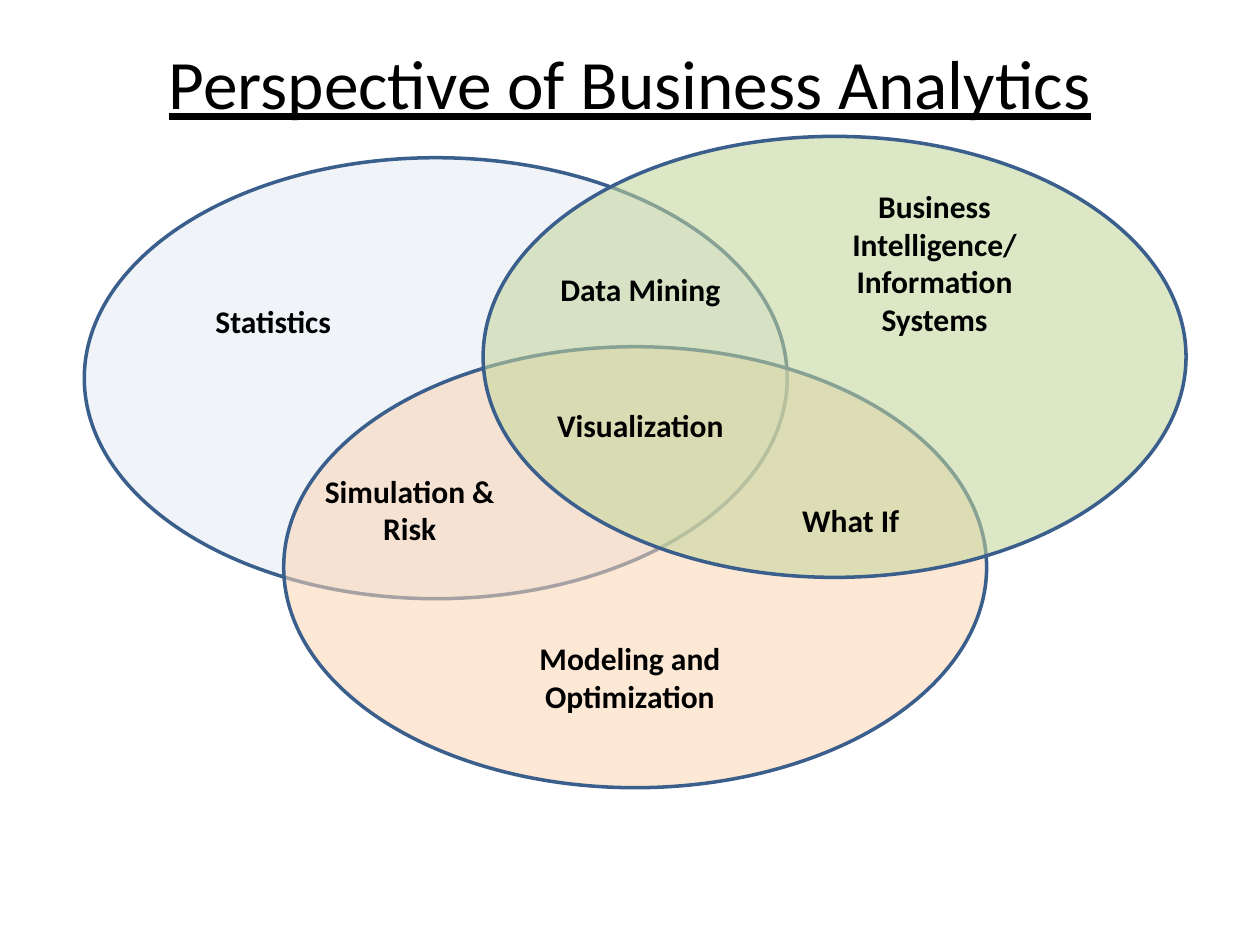
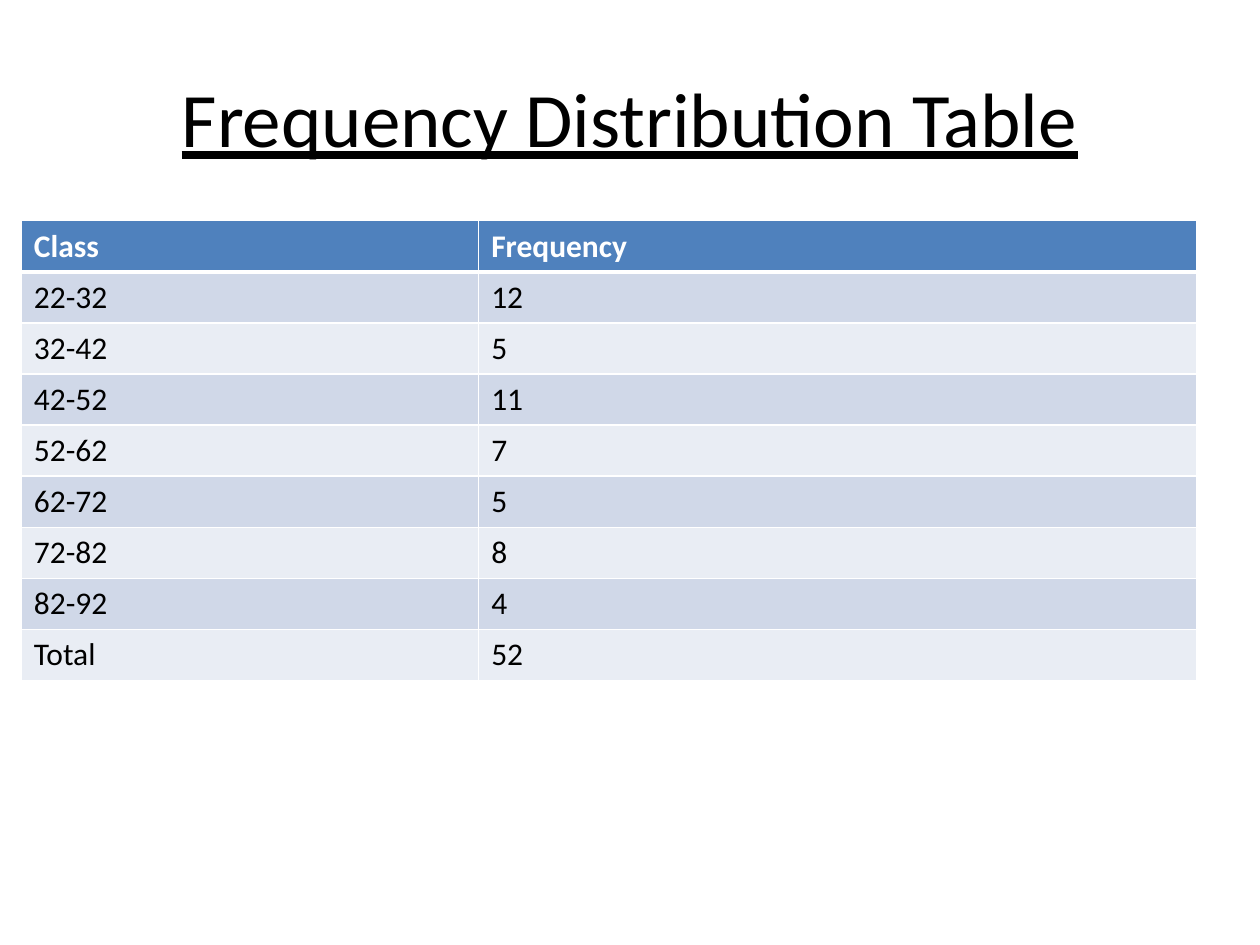
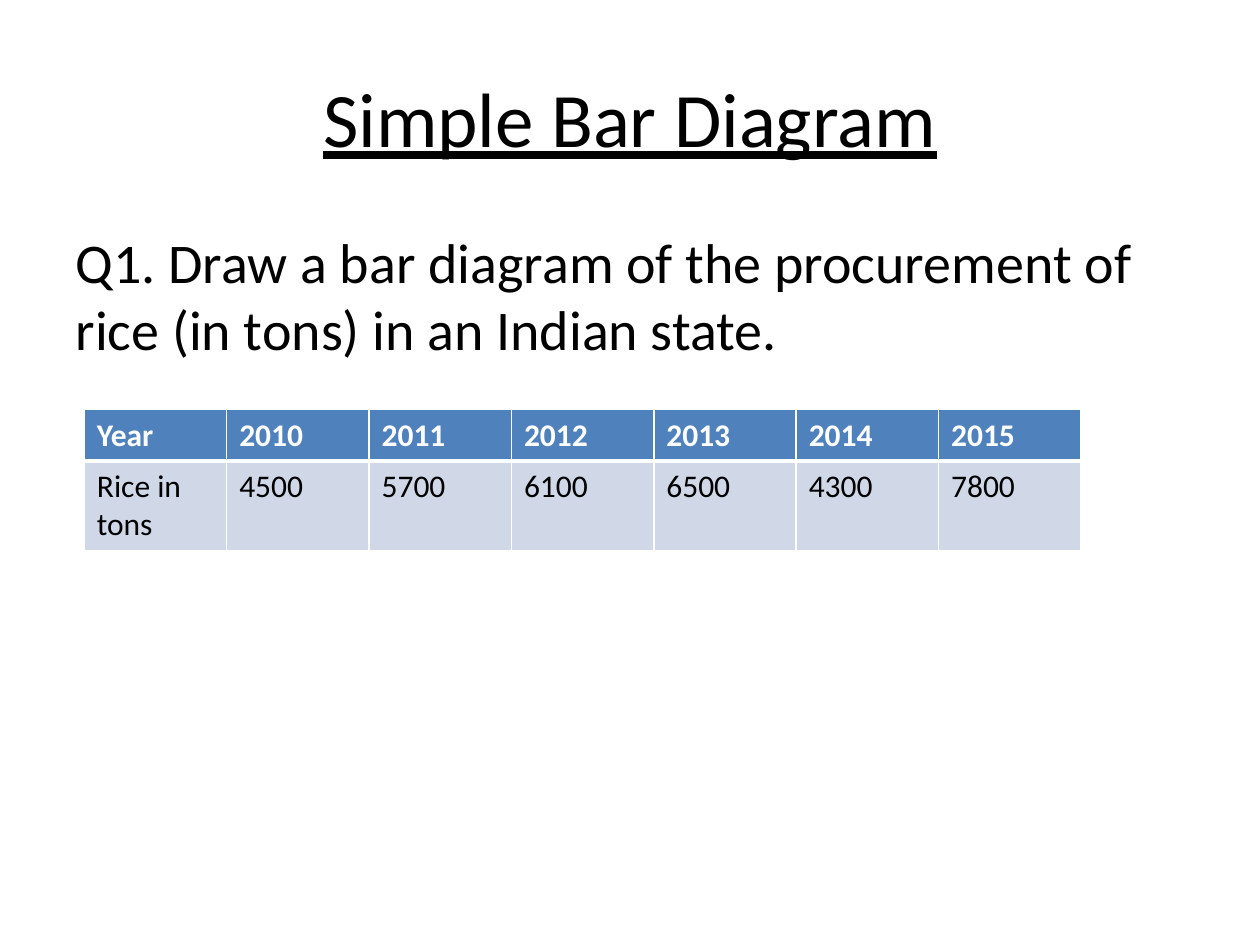
from lxml.etree import SubElement
from pptx import Presentation
from pptx.dml.color import RGBColor
from pptx.enum.shapes import MSO_SHAPE
from pptx.enum.text import MSO_ANCHOR, PP_ALIGN
from pptx.oxml.ns import qn
from pptx.util import Cm, Pt

FONT = "Calibri"
BLACK = RGBColor(0x00, 0x00, 0x00)
WHITE = RGBColor(0xFF, 0xFF, 0xFF)
EDGE = RGBColor(0x3A, 0x5F, 0x8C)
ICE = RGBColor(0xDC, 0xE6, 0xF2)
PEACH = RGBColor(0xFC, 0xD5, 0xB5)
GREEN = RGBColor(0xC3, 0xD6, 0x9B)
HEAD = RGBColor(0x4F, 0x81, 0xBD)
BANDS = (RGBColor(0xD0, 0xD8, 0xE8), RGBColor(0xE9, 0xED, 0xF4))

OVAL = (14.17, 8.89)
FIELDS = [
    (1.7, 3.18, ICE, 41),
    (5.72, 6.99, PEACH, 56),
    (9.74, 2.75, GREEN, 57),
]
LABEL = 4.66
LABELS = [
    ("Statistics", 3.18, 5.72, 1.48),
    ("Data Mining", 10.58, 5.08, 1.48),
    ("Visualization", 10.58, 7.83, 1.48),
    ("What If", 14.82, 9.74, 1.48),
    ("Simulation & Risk", 5.93, 9.53, 1.48),
    ("Modeling and Optimization", 10.37, 12.91, 1.48),
    ("Business Intelligence/ Information Systems", 16.51, 3.81, 2.96),
]
CLASSES = [
    ("Class", "Frequency"),
    ("22-32", "12"),
    ("32-42", "5"),
    ("42-52", "11"),
    ("52-62", "7"),
    ("62-72", "5"),
    ("72-82", "8"),
    ("82-92", "4"),
    ("Total", "52"),
]
TASK = "Q1. Draw a bar diagram of the procurement of rice (in tons) in an Indian state."
RICE = [
    ("Year", "2010", "2011", "2012", "2013", "2014", "2015"),
    ("Rice in tons", "4500", "5700", "6100", "6500", "4300", "7800"),
]
ROW = 1.03


def write(frame, text, size, color=BLACK, bold=False, line=False):
    run = frame.paragraphs[0].add_run()
    run.text = text
    font = run.font
    font.name, font.size, font.bold, font.underline = FONT, Pt(size), bold, line
    font.color.rgb = color


def place(shape, left, top, width, height):
    shape.left, shape.top = Cm(left), Cm(top)
    shape.width, shape.height = Cm(width), Cm(height)


def add_slide(deck, title, height=3.18, size=44, layout=5):
    slide = deck.slides.add_slide(deck.slide_layouts[layout])
    shape = slide.shapes.title
    place(shape, 1.27, 0.76, 22.86, height)
    frame = shape.text_frame
    frame.vertical_anchor = MSO_ANCHOR.MIDDLE
    frame.paragraphs[0].alignment = PP_ALIGN.CENTER
    write(frame, title, size, line=True)
    return slide


def add_oval(slide, left, top, color, alpha):
    oval = slide.shapes.add_shape(
        MSO_SHAPE.OVAL, Cm(left), Cm(top), *map(Cm, OVAL))
    oval.shadow.inherit = False
    oval.fill.solid()
    oval.fill.fore_color.rgb = color
    tint = oval.fill._xPr.find(qn("a:solidFill"))[0]
    SubElement(tint, qn("a:alpha"), val=str(alpha * 1000))
    oval.line.color.rgb = EDGE
    oval.line.width = Pt(2)


def add_label(slide, text, left, top, height):
    box = slide.shapes.add_textbox(Cm(left), Cm(top), Cm(LABEL), Cm(height))
    frame = box.text_frame
    frame.word_wrap = True
    frame.vertical_anchor = MSO_ANCHOR.MIDDLE
    frame.paragraphs[0].alignment = PP_ALIGN.CENTER
    write(frame, text, 18, bold=True)


def add_edges(cell, row):
    wide = {0: "lnB", 1: "lnT"}.get(row)
    for side in ("lnL", "lnR", "lnT", "lnB"):
        width = Pt(3 if side == wide else 1)
        edge = SubElement(cell._tc.get_or_add_tcPr(), qn("a:" + side), w=str(width))
        fill = SubElement(edge, qn("a:solidFill"))
        SubElement(fill, qn("a:srgbClr"), val=str(WHITE))


def add_grid(slide, data, left, top, widths):
    grid = slide.shapes.add_table(
        len(data), len(widths), Cm(left), Cm(top),
        Cm(sum(widths)), Cm(ROW * len(data))).table
    for col, width in zip(grid.columns, widths):
        col.width = Cm(width)
    for i, values in enumerate(data):
        grid.rows[i].height = Cm(ROW)
        for j, value in enumerate(values):
            cell = grid.cell(i, j)
            add_edges(cell, i)
            cell.fill.solid()
            cell.fill.fore_color.rgb = BANDS[(i - 1) % 2] if i else HEAD
            write(cell.text_frame, value, 18, BLACK if i else WHITE, i == 0)


def add_task(slide):
    body = slide.placeholders[1]
    place(body, 1.27, 4.45, 22.86, 12.57)
    write(body.text_frame, TASK, 32)
    props = body.text_frame.paragraphs[0]._p.get_or_add_pPr()
    props.set("marL", "0")
    props.set("indent", "0")
    SubElement(props, qn("a:buNone"))


def main():
    deck = Presentation()
    deck.slide_width, deck.slide_height = Cm(25.4), Cm(19.05)

    venn = add_slide(deck, "Perspective of Business Analytics", 1.78, 39.6)
    for field in FIELDS:
        add_oval(venn, *field)
    for label in LABELS:
        add_label(venn, *label)

    table = add_slide(deck, "Frequency Distribution Table")
    add_grid(table, CLASSES, 0.43, 4.45, (9.22, 14.48))

    chart = add_slide(deck, "Simple Bar Diagram", layout=1)
    add_task(chart)
    add_grid(chart, RICE, 1.7, 8.26, [2.87] * len(RICE[0]))

    deck.save("out.pptx")


if __name__ == "__main__":
    main()
